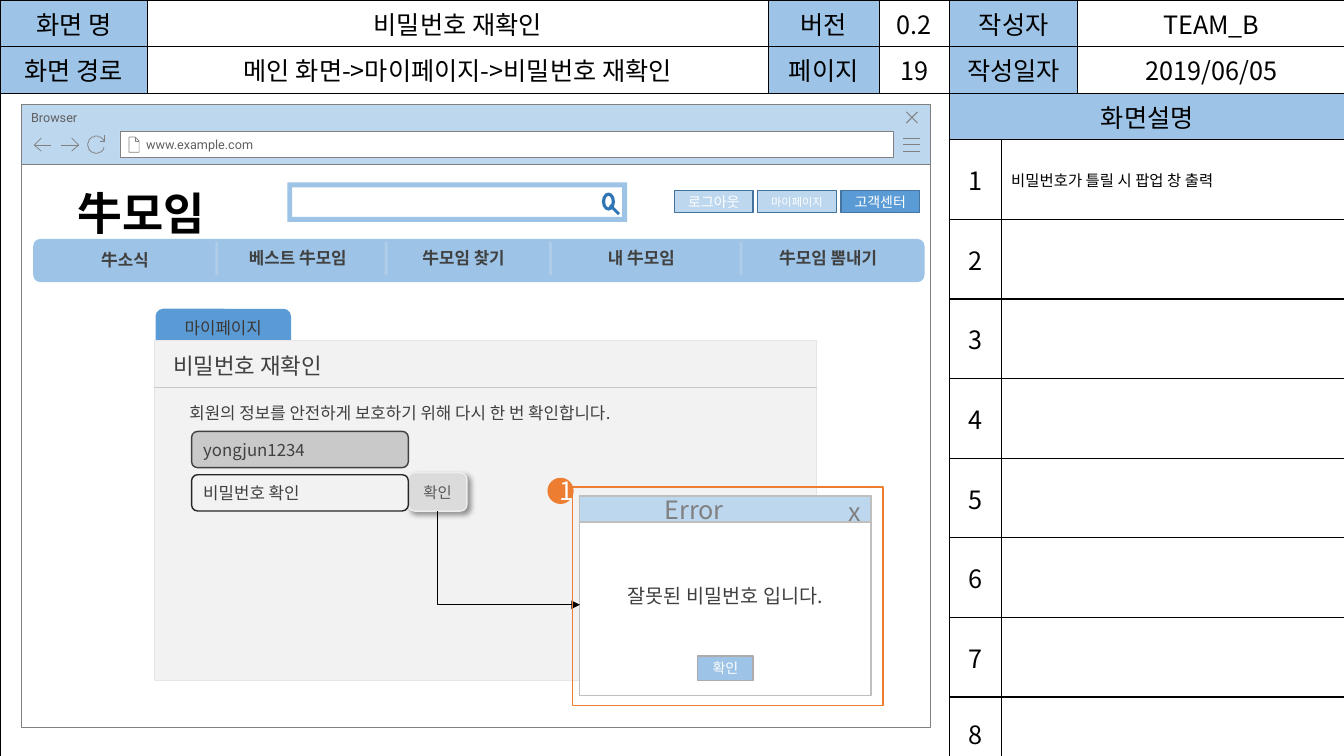
import math
from lxml import etree
from pptx import Presentation, util as u
from pptx.dml.color import RGBColor
from pptx.enum import shapes as es, text as et
from pptx.oxml import ns

# Slide grid: every length is a count of columns or rows
COLS, ROWS = 1333, 750
CELL = u.Inches(0.01)
KR, LATIN = "Noto Sans CJK KR", "Roboto"
HEX = dict(
    white="FFFFFF", black="000000", sky="9DC3E6", pale="BDD7EE", blue="5B9BD5",
    navy="43739E", deep="2E75B6", gray="808080", url="5F5F5F", ink="404040",
    coal="262626", mid="595959", tab="3B3838", panel="F2F2F2", edge="E7E6E6",
    rule="C9C9C9", key="DBDBDB", rim="EDEDED", frame="BFBFBF", warm="AFABAB",
    orange="ED7D31")
S, AL = es.MSO_SHAPE, et.PP_ALIGN
L, C, R = AL.LEFT, AL.CENTER, AL.RIGHT
MID, TOP = et.MSO_ANCHOR.MIDDLE, et.MSO_ANCHOR.TOP

prs = Presentation()
prs.slide_width, prs.slide_height = COLS * CELL, ROWS * CELL
page = prs.slides.add_slide(prs.slide_layouts[6]).shapes


def rgb(name):
    return RGBColor.from_string(HEX[name])


def node(root, tag, **attrs):
    return etree.SubElement(root, ns.qn("a:" + tag), attrs)


def place(box, x, y, w, h):
    return [n * CELL for n in (box[0] + x, box[1] + y, w, h)]


def write(frame, words, size, color, align=C, font=KR, bold=False):
    frame.text = words
    par = frame.paragraphs[0]
    par.alignment = align
    for run in par.runs:
        run.font.size, run.font.bold, run.font.name = u.Pt(size), bold, font
        run.font.color.rgb = rgb(color)
        node(run.font._element, "ea", typeface=font)


def paint(shp, fill, line, width=1):
    shp.shadow.inherit = False
    if fill:
        shp.fill.solid()
        shp.fill.fore_color.rgb = rgb(fill)
    else:
        shp.fill.background()
    if line:
        shp.line.color.rgb = rgb(line)
        shp.line.width = u.Pt(width)
    else:
        shp.line.fill.background()


def block(box, part, fill=None, line=None, kind=S.RECTANGLE, width=1,
          words=None, anchor=MID, left=10, right=10, adj=None):
    shp = page.add_shape(kind, *place(box, *part))
    paint(shp, fill, line, width)
    if adj is not None:
        shp.adjustments[0] = adj
    if words:
        frame = shp.text_frame
        frame.word_wrap, frame.vertical_anchor = True, anchor
        frame.margin_left, frame.margin_right = left * CELL, right * CELL
        write(frame, *words)
    return shp


def label(box, part, *words, **style):
    frame = page.add_textbox(*place(box, *part)).text_frame
    frame.word_wrap = True
    write(frame, *words, **style)


def icon(box, *strokes, width=0.5):
    pen = page.build_freeform(scale=CELL)
    for pts in strokes:
        pts = [(box[0] + x, box[1] + y) for x, y in pts]
        pen.move_to(*pts[0])
        pen.add_line_segments(pts[1:], close=False)
    paint(pen.convert_to_shape(), None, "gray", width)


def wire(box, start, end, color, width):
    ends = [(o + n) * CELL for p in (start, end) for o, n in zip(box, p)]
    con = page.add_connector(es.MSO_CONNECTOR.STRAIGHT, *ends)
    con.line.color.rgb, con.line.width = rgb(color), u.Pt(width)
    node(con._element.spPr, "effectLst")
    return con


def browser(box):
    x, y, w, h = box
    block(box, (0, 58, w, h - 58), "white", "gray", width=0.5)
    block(box, (0, 0, w, 59), "pale", "gray", width=0.5, anchor=TOP,
          words=("Browser", 9, "url", L, LATIN))
    # Menu, close and page icons, with the address bar
    icon((x + 875, y + 33), *[[(0, r), (17, r)] for r in (0, 6, 13)])
    icon((x + 878, y + 7), [(0, 0), (11, 11)], [(11, 0), (0, 11)], width=0.75)
    block(box, (98, 26, 767, 26), "white", "gray", width=0.5, left=26,
          words=("www.example.com", 9, "url", L, LATIN))
    icon((x + 107, y + 32), [(6, 0), (6, 4), (10, 4)],
         [(6, 0), (0, 0), (0, 15), (10, 15), (10, 4), (6, 0)])
    # Back, forward and reload
    icon((x + 13, y + 33), [(7, 0), (0, 6.5), (7, 13)], [(0, 6.5), (17, 6.5)])
    icon((x + 40, y + 33), [(10, 0), (17, 6.5), (10, 13)], [(0, 6.5), (17, 6.5)])
    turn = [math.radians(a) for a in range(20, 341, 10)]
    icon((x + 66, y + 30), [(17, 0), (17, 6), (12, 6)],
         [(8.5 + 8.5 * math.cos(a), 9.5 + 8.5 * math.sin(a)) for a in turn])


def sheet(box):
    cols = (146, 616, 110, 70, 51, 76, 265)
    rows = [41] * 3 + [79] * 7 + [72]
    grid = page.add_table(len(rows), len(cols), *place(box, 0, 0, *box[2:])).table
    grid.first_row = grid.horz_banding = False
    for col, n in zip(grid.columns, cols):
        col.width = n * CELL
    for row, n in zip(grid.rows, rows):
        row.height = n * CELL
    # Title rows, then the numbered notes
    cells = {(2, 4): "화면설명", (3, 5): "비밀번호가 틀릴 시 팝업 창 출력"}
    heads = (("화면 명", "비밀번호 재확인", "버전", "0.2", "작성자", "", "TEAM_B"),
             ("화면 경로", "메인 화면->마이페이지->비밀번호 재확인", "페이지", "19",
              "작성일자", "", "2019/06/05"))
    cells.update({(r, c): t for r, head in enumerate(heads) for c, t in enumerate(head)})
    cells.update({(n + 2, 4): str(n) for n in range(1, 9)})
    blue = {(r, c) for r in (0, 1) for c in (0, 2, 4)} | {(2, 4)}
    merges = [(2, 0, 10, 3), (2, 4, 2, 6), (0, 4, 0, 5), (1, 4, 1, 5)]
    for a, b, c, d in merges + [(r, 5, r, 6) for r in range(3, 11)]:
        grid.cell(a, b).merge(grid.cell(c, d))
    for r in range(len(rows)):
        for c in range(len(cols)):
            cell = grid.cell(r, c)
            cell.vertical_anchor = MID
            if cells.get((r, c)):
                note = (r, c) == (3, 5)
                write(cell.text_frame, cells[r, c], 11 if note else 18, "black",
                      L if note else C)
            for side in ("lnL", "lnR", "lnT", "lnB"):
                edge = node(cell._tc.get_or_add_tcPr(), side, w="12700")
                node(node(edge, "solidFill"), "srgbClr", val=HEX["black"])
            if (r, c) in blue:
                cell.fill.solid()
                cell.fill.fore_color.rgb = rgb("sky")
            else:
                cell.fill.background()


def banner(box):
    label(box, (0, 0, 156, 64), "牛모임", 32, "black", L, bold=True)
    # Search field with its lens
    block(box, (218, 2, 337, 39), "sky", kind=S.FRAME, adj=0.125)
    block(box, (534, 23, 17, 12), "deep", kind=S.MATH_MINUS, adj=0.235).rotation = 45
    block(box, (530, 12, 13, 18), "deep", kind=S.DONUT, adj=0.25)
    buttons = (("로그아웃", 10, "pale"), ("마이페이지", 8, "pale"), ("고객센터", 10, "blue"))
    for i, (name, size, fill) in enumerate(buttons):
        block(box, (602 + 82.5 * i, 10, 78, 22), fill, "navy",
              words=(name, size, "white"))


def menu(box):
    block(box, (0, 0, *box[2:]), "sky", kind=S.ROUNDED_RECTANGLE)
    items = ((0, 6, 182, "牛소식", C), (204, 4, 128, "베스트 牛모임", L),
             (376, 4, 112, "牛모임 찾기", L), (560, 4, 128, "내 牛모임", L),
             (730, 4, 128, "牛모임 뽐내기", L))
    for x, y, w, name, align in items:
        label(box, (x, y, w, 30), name, 12, "ink", align, bold=True)
    for x in (182, 350, 513, 702):
        bar = wire(box, (x, 3), (x, 36), "panel", 2)
        tint = bar._element.spPr.find(".//" + ns.qn("a:srgbClr"))
        node(tint, "alpha", val="22000")


def form(box):
    pill = S.ROUNDED_RECTANGLE
    block(box, (2, 0, 133, 41), "blue", "blue", pill)
    block(box, (0, 31, box[2], box[3] - 31), "panel", "edge")
    label(box, (2, 3, 133, 30), "마이페이지", 12, "tab")
    label(box, (9, 37, 189, 37), "비밀번호 재확인", 16, "ink", L)
    wire(box, (0, 77), (box[2], 77), "rule", 0.5)
    label(box, (25, 88, 499, 71), "회원의 정보를 안전하게 보호하기 위해 다시 한 번 확인합니다.",
          12, "ink", L)
    # Confirm key with a soft shadow
    key = block(box, (252, 162, 58, 38), "key", "rim", pill, words=("확인", 11, "mid"))
    glow = node(key._element.spPr.find(ns.qn("a:effectLst")), "outerShdw",
                blurRad="50800", dist="38100", dir="2700000", algn="tl", rotWithShape="0")
    node(node(glow, "srgbClr", val=HEX["black"]), "alpha", val="40000")
    # Name and password fields
    for y, fill, line, name in ((121, "rule", "ink", "yongjun1234"),
                                (164, "panel", "coal", "비밀번호 확인")):
        block(box, (37, y, 215, 36), fill, line, pill, words=(name, 12, "ink", L))


def popup(box):
    block(box, (7, 9, 289, 198), "white", "frame", words=("잘못된 비밀번호 입니다.", 14, "ink"))
    block(box, (7, 9, 289, 26), "pale", "frame", left=84, words=("Error", 18, "gray", L))
    label(box, (250, 4, 46, 36), "x", 18, "gray", R)
    # Arrow from the confirm key
    bend = wire(box, (-110, 0), (-17, 141), "black", 0.5)
    bend._element.spPr.prstGeom.set("prst", "bentConnector2")
    turn = bend._element.spPr.find(ns.qn("a:xfrm"))
    turn.set("rot", "16200000")
    turn.set("flipH", "1")
    node(bend.line._get_or_add_ln(), "tailEnd", type="triangle")
    # Callout frame and number
    block(box, (0, 0, *box[2:]), line="orange")
    block(box, (-25, -9, 26, 26), "orange", kind=S.OVAL, words=("1", 18, "white"))
    block(box, (124, 168, 55, 24), "sky", "warm", words=("확인", 10, "white"))


browser((21, 104, 902, 618))
sheet((0, 0, COLS, 745))
banner((67, 179, 845, 64))
form((153, 307, 657, 368))
popup((568, 483, 308, 217))
menu((33, 237, 884, 43))
prs.save("out.pptx")
